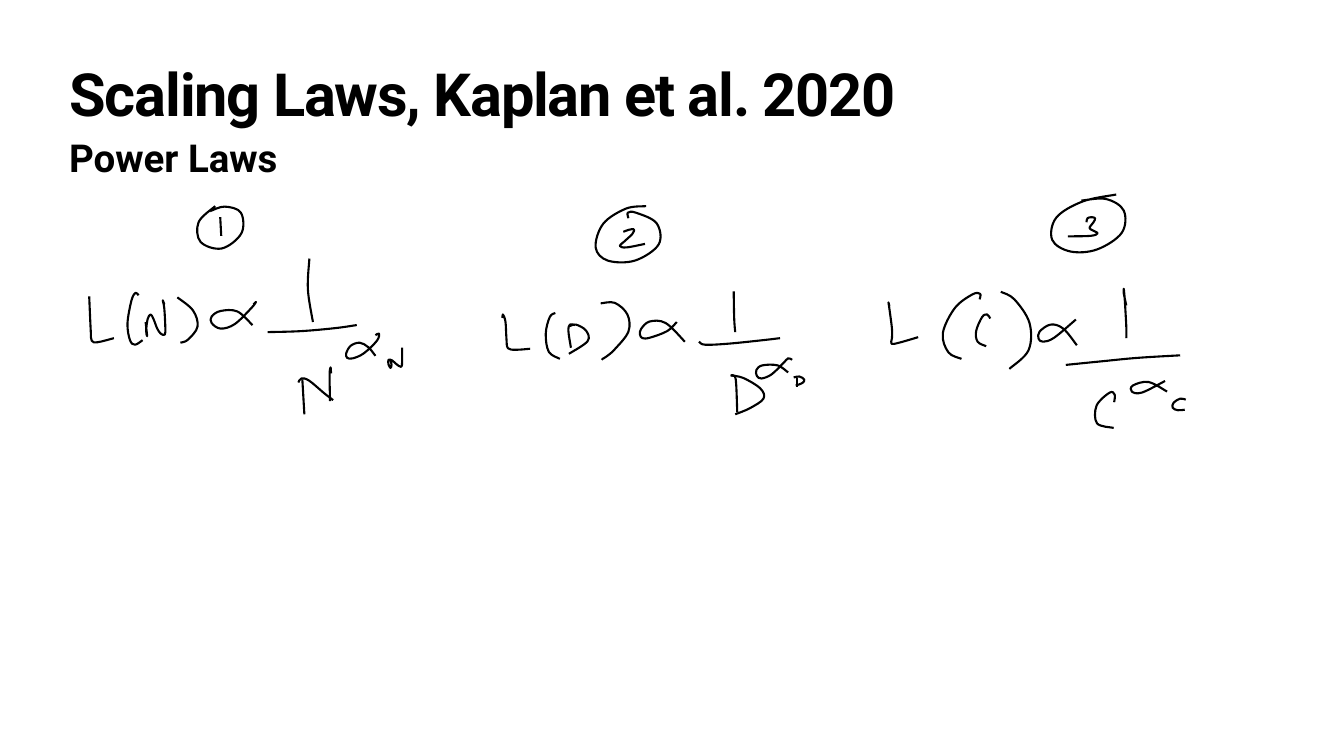
from dataclasses import dataclass

from lxml.etree import SubElement as Sub
from pptx import Presentation
from pptx.dml.color import RGBColor as RGB
from pptx.enum.text import MSO_ANCHOR as Anchor, PP_ALIGN as Align
from pptx.oxml.ns import qn
from pptx.util import Inches, Pt


@dataclass(frozen=True)
class Theme:
    font: str = "Roboto"
    ink: RGB = RGB(0, 0, 0)
    paper: RGB = RGB(255, 255, 255)
    title: float = 85
    sub: float = 55
    pen: float = 3


THEME = Theme()
WIDE, HIGH = Inches(26.67), Inches(15)
UNIT = HIGH / 1500  # pen grid: 1500 rows on the slide
LEFT, TOP, PITCH = 150, 350, 800  # first formula and step to the next

# Pen points "x,y" on the grid of each formula; "/" lifts the pen.
LAW_N = {
    "L": "27,238 30,305 32,326 44,329 76,321",
    "open": "125,236 119,231 111,246 103,292 108,325 118,334 133,325",
    "N": "139,289 141,307 142,317 140,307 143,283 149,274 155,284 162,302 "
         "169,312 177,314 178,299 176,262 173,246 176,254",
    "close": "202,240 233,266 242,298 223,324 208,330",
    "prop": "353,254 358,249 349,261 316,293 288,302 270,291 270,278 "
            "288,267 321,268 351,295",
    "one": "464,163 461,224 471,289",
    "bar": "381,309 448,307 516,301 558,295",
    "base": "450,403 454,472 / 442,409 448,401 463,405 493,430 511,444 / "
            "507,391 506,379 504,394 505,446",
    "alpha": "595,315 602,312 598,326 572,351 550,361 539,360 537,351 "
             "546,336 564,330 581,339 595,356",
    "index": "625,364 627,374 625,380 621,373 621,364 628,365 636,372 "
             "646,378 648,368 648,340",
    "number": "287,81 289,118",
    "ring": "277,59 244,91 248,130 290,143 329,113 328,72 296,60 267,69",
}
LAW_D = {
    "L": "47,281 48,274 53,288 55,322 58,341 74,344 102,342",
    "open": "152,271 141,279 133,312 139,348 161,362",
    "D": "191,295 181,294 178,307 183,340 / "
         "181,297 193,294 213,306 216,327 179,352",
    "close": "242,252 270,251 295,274 297,308 270,343 254,357 246,362 244,364",
    "prop": "393,289 374,307 340,320 325,321 320,314 322,303 339,288 "
            "371,291 409,328",
    "one": "506,228 507,282 509,309",
    "bar": "437,328 449,334 495,332 564,325 598,321",
    "base": "500,395 508,396 511,414 513,468 / "
            "500,395 525,400 559,421 565,441 538,460 509,472",
    "alpha": "622,364 614,361 604,371 581,393 561,401 552,396 551,384 "
             "563,375 593,375 614,389",
    "index": "631,401 631,417 / 625,399 636,397 646,403 642,410 629,415",
    "number": "287,110 298,106 308,105 305,114 288,130 280,138 293,141 330,134",
    "ring": "297,83 296,72 312,72 353,93 357,135 310,167 256,167 232,141 "
            "247,94 292,64 332,59",
}
LAW_C = {
    "L": "15,258 13,250 15,263 20,302 20,321 19,332 34,330 72,319",
    "open": "194,244 195,233 180,234 145,261 121,311 132,349 158,362",
    "C": "215,282 209,274 199,279 187,307 190,328 207,337",
    "close": "236,229 263,244 293,291 291,345 253,382",
    "prop": "385,284 342,320 320,328 311,322 313,308 335,294 360,302 387,335",
    "one": "485,256 480,232 480,223 482,245 485,298 485,321",
    "bar": "365,374 435,367 508,360 592,355",
    "base": "461,448 462,433 452,429 426,455 427,490 460,499",
    "alpha": "562,406 516,429 496,427 498,415 529,408 566,427",
    "index": "603,443 592,441 579,449 577,459 587,464 601,463",
    "number": "406,91 408,83 416,81 423,83 420,91 412,102 418,107 428,113 "
              "414,118 369,119",
    "ring": "396,48 445,45 480,68 476,112 427,145 374,149 338,126 346,82 "
            "398,50 465,36",
}


def smooth(mark):
    """Turn the straight pieces of a freeform into flowing Bézier curves."""
    trail = mark._element.xpath(".//a:pathLst/a:path")[0]
    dots = [(int(p.get("x")), int(p.get("y"))) for p in trail.iter(qn("a:pt"))]
    ends = [dots[0], *dots, dots[-1]]
    quads = zip(ends, ends[1:], ends[2:], ends[3:])
    for line, (a, b, c, d) in zip(trail.findall(qn("a:lnTo")), quads):
        trail.remove(line)
        curve = Sub(trail, qn("a:cubicBezTo"))
        lead = [q + (r - p) / 6 for p, q, r in zip(a, b, c)]
        tail = [q + (p - r) / 6 for p, q, r in zip(b, c, d)]
        for x, y in (lead, tail, c):
            Sub(curve, qn("a:pt"), x=str(round(x)), y=str(round(y)))


def draw_stroke(shapes, dots):
    first, *rest = dots
    pen = shapes.build_freeform(*first)
    pen.add_line_segments(rest, close=False)
    mark = pen.convert_to_shape()
    smooth(mark)
    mark.shadow.inherit = False
    mark.fill.background()
    mark.line.color.rgb = THEME.ink
    mark.line.width = Pt(THEME.pen)


def draw_law(slide, left, top, law):
    group = slide.shapes.add_group_shape()
    for glyph in law.values():
        for stroke in glyph.split("/"):
            pairs = [dot.split(",") for dot in stroke.split()]
            dots = [(round((left + int(x)) * UNIT), round((top + int(y)) * UNIT))
                    for x, y in pairs]
            draw_stroke(group.shapes, dots)


def set_text(shape, box, text, size, inset):
    shape.left, shape.top, shape.width, shape.height = map(Inches, box)
    frame = shape.text_frame
    frame.text = text
    frame.word_wrap = True
    frame.vertical_anchor = Anchor.MIDDLE
    frame.margin_left = frame.margin_right = Inches(inset)
    frame.margin_top = frame.margin_bottom = Inches(inset)
    para = frame.paragraphs[0]
    para.alignment = Align.LEFT
    para.font.name, para.font.size = THEME.font, Pt(size)
    para.font.bold = True
    para.font.color.rgb = THEME.ink
    return para


def add_head(slide, left, top, width):
    para = set_text(slide.shapes.title, (left, top, width, 1.57),
                    "Scaling Laws, Kaplan et al. 2020", THEME.title, 0.06)
    para.line_spacing = 0.8
    para.runs[0].font._element.set("spc", "-170")
    sub = slide.shapes.add_textbox(0, 0, 0, 0)
    set_text(sub, (left, top + 1.42, width, 1.02), "Power Laws", THEME.sub, 0.05)


def main():
    deck = Presentation()
    deck.slide_width, deck.slide_height = WIDE, HIGH
    slide = deck.slides.add_slide(deck.slide_layouts[5])
    slide.background.fill.solid()
    slide.background.fill.fore_color.rgb = THEME.paper
    add_head(slide, LEFT * UNIT / Inches(1) - 0.18, 1.18, 24.03)
    for col, law in enumerate((LAW_N, LAW_D, LAW_C)):
        draw_law(slide, LEFT + col * PITCH, TOP, law)
    deck.save("out.pptx")


if __name__ == "__main__":
    main()
